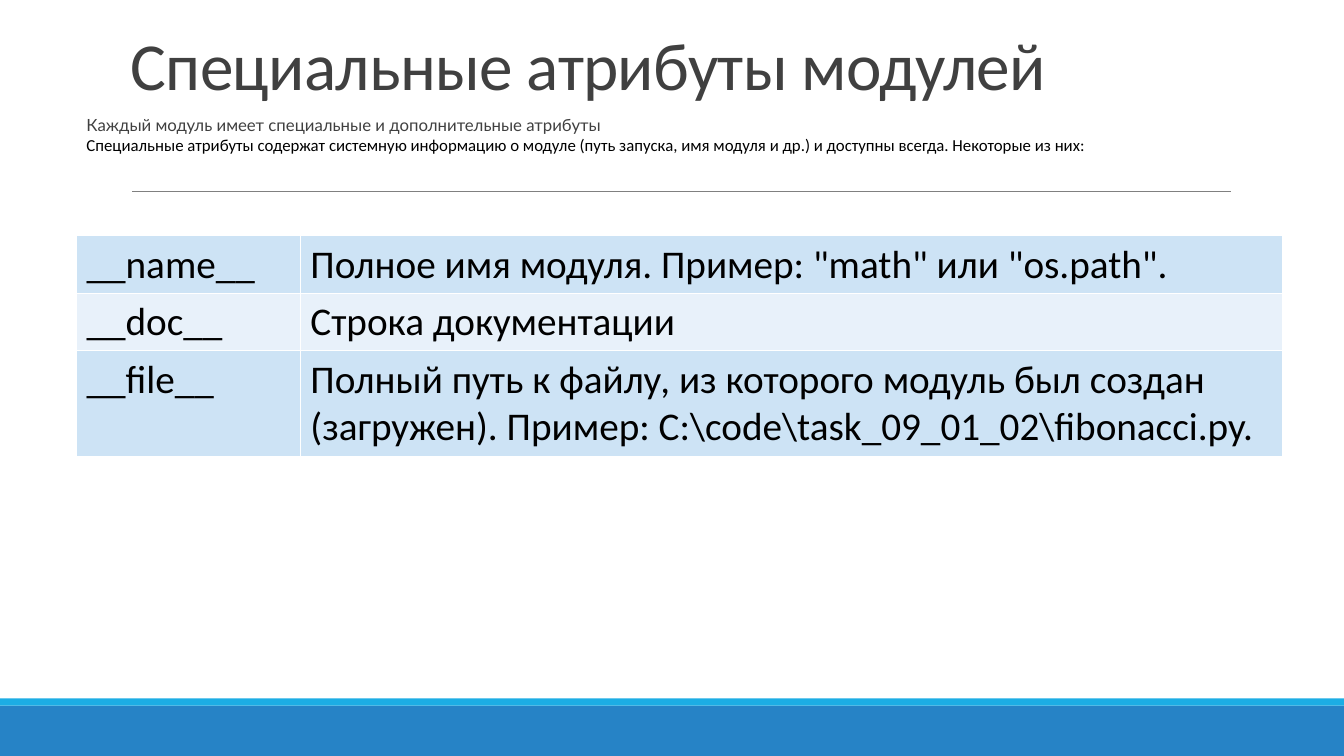
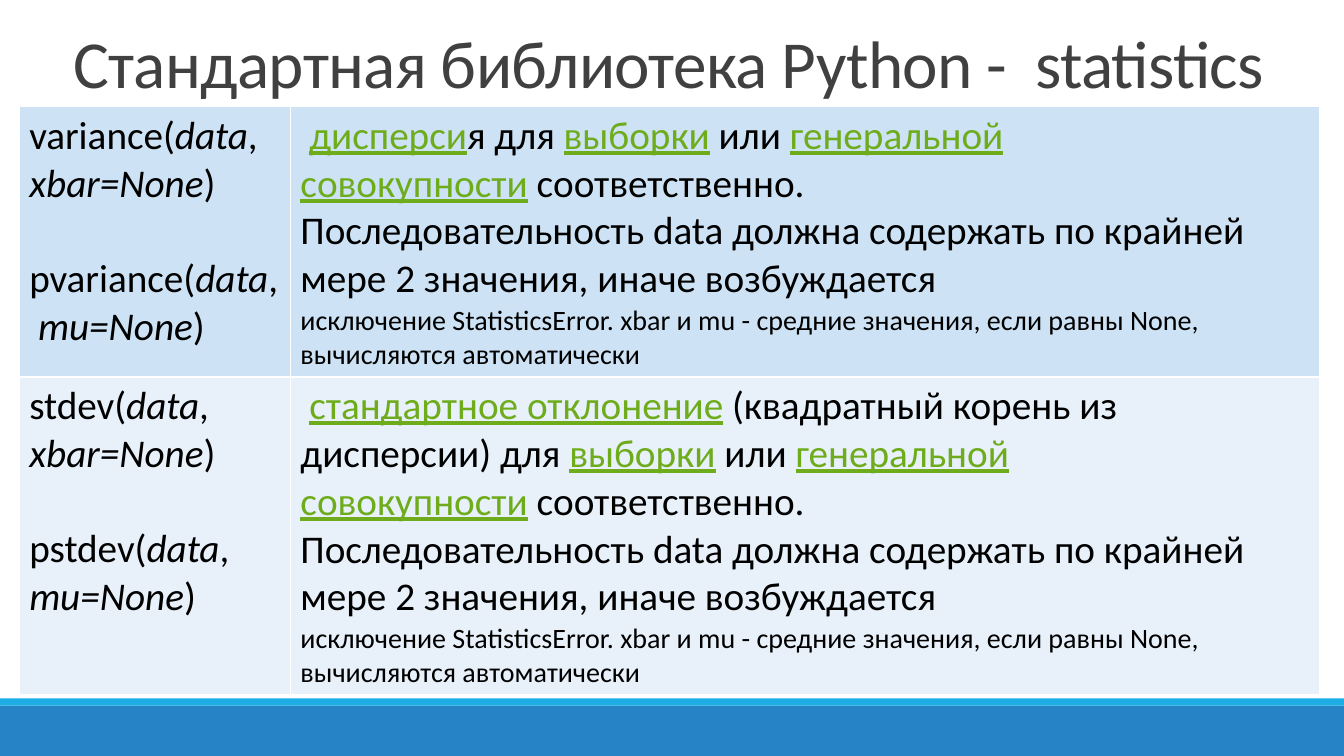
from lxml import etree
from pptx import Presentation
from pptx.dml.color import RGBColor
from pptx.enum.shapes import MSO_CONNECTOR as CONN, MSO_SHAPE as SHAPE
from pptx.enum.text import MSO_ANCHOR as ANCHOR
from pptx.oxml.ns import qn
from pptx.util import Inches, Pt

BLACK = RGBColor(0x00, 0x00, 0x00)
WHITE = RGBColor(0xFF, 0xFF, 0xFF)
DARK = RGBColor(0x40, 0x40, 0x40)
GRAY = RGBColor(0x80, 0x80, 0x80)
BLUE = RGBColor(0x26, 0x83, 0xC6)
CYAN = RGBColor(0x1C, 0xAD, 0xE4)
GREEN = RGBColor(0x6E, 0xAC, 0x1C)
ROW_FILLS = (RGBColor(0xCD, 0xE3, 0xF5), RGBColor(0xE8, 0xF1, 0xFA))

FONT = "Calibri"
WIDTH, HEIGHT = 13.33, 7.5
CELL_SIZE = 28
LINE_GAP = 34  # one line of cell text, in points
NBSP = chr(160)  # written as ~ in the texts below

PLAIN, ITALIC, LINK, SMALL = "plain", "italic", "link", "small"

ATTRIBUTES = [
    ("__name__", 'Полное имя модуля. Пример: "math" или "os.path".'),
    ("__doc__", "Строка документации"),
    ("__file__", "Полный путь к файлу, из которого модуль был создан (загружен). "
                 r"Пример: C:\code\task_09_01_02\fibonacci.py."),
]

XBAR = [("xbar=None", ITALIC), (")", PLAIN)]
MU = [("mu=None", ITALIC), (")", PLAIN)]
SAMPLE_OR_POPULATION = [
    ("выборки", LINK), ("~или~", PLAIN),
    ("генеральной совокупности", LINK), ("~соответственно.", PLAIN),
]
DATA_NOTE = [
    ("Последовательность~data~должна содержать по крайней мере 2 значения, "
     "иначе возбуждается ", PLAIN),
    ("исключение~StatisticsError.~xbar~и~mu~- средние значения, "
     "если равны~None, вычисляются автоматически", SMALL),
]


def call_start(name):
    return [(f"{name}(", PLAIN), ("data", ITALIC), (",~", PLAIN)]


VARIANCE = [("~", PLAIN), ("дисперси", LINK), ("я~для~", PLAIN)]
DEVIATION = [("~", PLAIN), ("стандартное отклонение", LINK),
             ("~(квадратный корень из дисперсии) для~", PLAIN)]

# Each row: paragraphs of the first call, of the second call, of the meaning
STATISTICS = [
    ([call_start("variance"), XBAR], [call_start("pvariance") + MU],
     [VARIANCE + SAMPLE_OR_POPULATION, DATA_NOTE]),
    ([call_start("stdev"), XBAR], [call_start("pstdev"), MU],
     [DEVIATION + SAMPLE_OR_POPULATION, DATA_NOTE]),
]


def set_font(font, size, color, name=FONT):
    font.name, font.size, font.color.rgb = name, Pt(size), color


def add_band(s, top, height, color):
    sp = s.shapes.add_shape(SHAPE.RECTANGLE, 0, Inches(top), Inches(WIDTH), Inches(height))
    sp.shadow.inherit = False
    sp.fill.solid()
    sp.fill.fore_color.rgb = color
    sp.line.fill.background()


def add_rule(s, left, right, top):
    line = s.shapes.add_connector(CONN.STRAIGHT, Inches(left), Inches(top),
                                  Inches(right), Inches(top))
    line.line.color.rgb = GRAY
    line.line.width = Pt(0.5)
    etree.SubElement(line._element.spPr, qn("a:effectLst"))


def add_text_box(s, box):
    tf = s.shapes.add_textbox(*map(Inches, box)).text_frame
    tf.word_wrap = True
    return tf


def add_title(s, text, box):
    tf = add_text_box(s, box)
    tf.vertical_anchor = ANCHOR.BOTTOM
    p = tf.paragraphs[0]
    p.line_spacing = 0.85
    r = p.add_run()
    r.text = text.replace("~", NBSP)
    r._r.get_or_add_rPr().set("spc", "-50")
    set_font(p.font, 48, DARK)


def add_slide(prs, title, title_box):
    """Add a blank slide with the shared bottom bands and title."""
    s = prs.slides.add_slide(prs.slide_layouts[6])
    add_band(s, 7, 0.5, BLUE)
    add_band(s, 6.93, 0.07, CYAN)
    add_title(s, title, title_box)
    return s


def set_borders(cell):
    tc_pr = cell._tc.get_or_add_tcPr()
    for side in ("lnL", "lnR", "lnT", "lnB"):
        ln = etree.SubElement(tc_pr, qn(f"a:{side}"), w=str(Pt(1)))
        fill = etree.SubElement(ln, qn("a:solidFill"))
        etree.SubElement(fill, qn("a:srgbClr"), val=str(WHITE))


def add_runs(p, runs):
    set_font(p.font, CELL_SIZE, BLACK)
    for text, style in runs:
        r = p.add_run()
        r.text = text.replace("~", NBSP)
        set_font(r.font, 20 if style == SMALL else CELL_SIZE,
                 GREEN if style == LINK else BLACK)
        if style == ITALIC:
            r.font.italic = True
        elif style == LINK:
            r.font.underline = True


def fill_cell(cell, groups):
    """Write groups of paragraphs, one line apart."""
    tf = cell.text_frame
    p = None
    for group in groups:
        for i, runs in enumerate(group):
            gap = p is not None and i == 0
            p = tf.paragraphs[0] if p is None else tf.add_paragraph()
            if gap:
                p.space_before = Pt(LINE_GAP)
            add_runs(p, runs)


def add_table(s, left, top, col_widths, row_heights, rows):
    table = s.shapes.add_table(len(rows), len(col_widths), Inches(left), Inches(top),
                               Inches(sum(col_widths)), Inches(sum(row_heights))).table
    table.first_row = table.horz_banding = False
    for col, width in zip(table.columns, col_widths):
        col.width = Inches(width)
    for i, (row, height, groups_by_cell) in enumerate(zip(table.rows, row_heights, rows)):
        row.height = Inches(height)
        for cell, groups in zip(row.cells, groups_by_cell):
            set_borders(cell)
            cell.fill.solid()
            cell.fill.fore_color.rgb = ROW_FILLS[i % 2]
            fill_cell(cell, groups)


def add_attributes_slide(prs):
    s = add_slide(prs, "Специальные атрибуты модулей", (1.2, 0.18, 11.01, 0.9))
    add_rule(s, 1.31, 12.21, 1.9)
    rows = [[[[[(text, PLAIN)]]] for text in row] for row in ATTRIBUTES]
    add_table(s, 0.76, 2.34, (2.22, 9.74), (0.57, 0.57, 1.05), rows)
    tf = add_text_box(s, (0.76, 1.09, 11.76, 0.5))
    intro, details = tf.paragraphs[0], tf.add_paragraph()
    intro.text = "Каждый модуль имеет специальные и дополнительные атрибуты"
    details.text = ("Специальные атрибуты содержат системную информацию о модуле "
                    "(путь запуска, имя модуля и др.) и доступны всегда. Некоторые из них:")
    set_font(intro.font, 12, DARK, "Lato")
    set_font(details.font, 12, BLACK)


def add_statistics_slide(prs):
    s = add_slide(prs, "Стандартная библиотека Python - ~statistics", (0.63, 0.2, 12.04, 0.86))
    rows = [[[first, second], [meaning]] for first, second, meaning in STATISTICS]
    add_table(s, 0.19, 1.06, (2.69, 10.21), (2.68, 3.15), rows)


def main():
    prs = Presentation()
    prs.slide_width, prs.slide_height = Inches(WIDTH), Inches(HEIGHT)
    add_attributes_slide(prs)
    add_statistics_slide(prs)
    prs.save("out.pptx")


if __name__ == "__main__":
    main()
